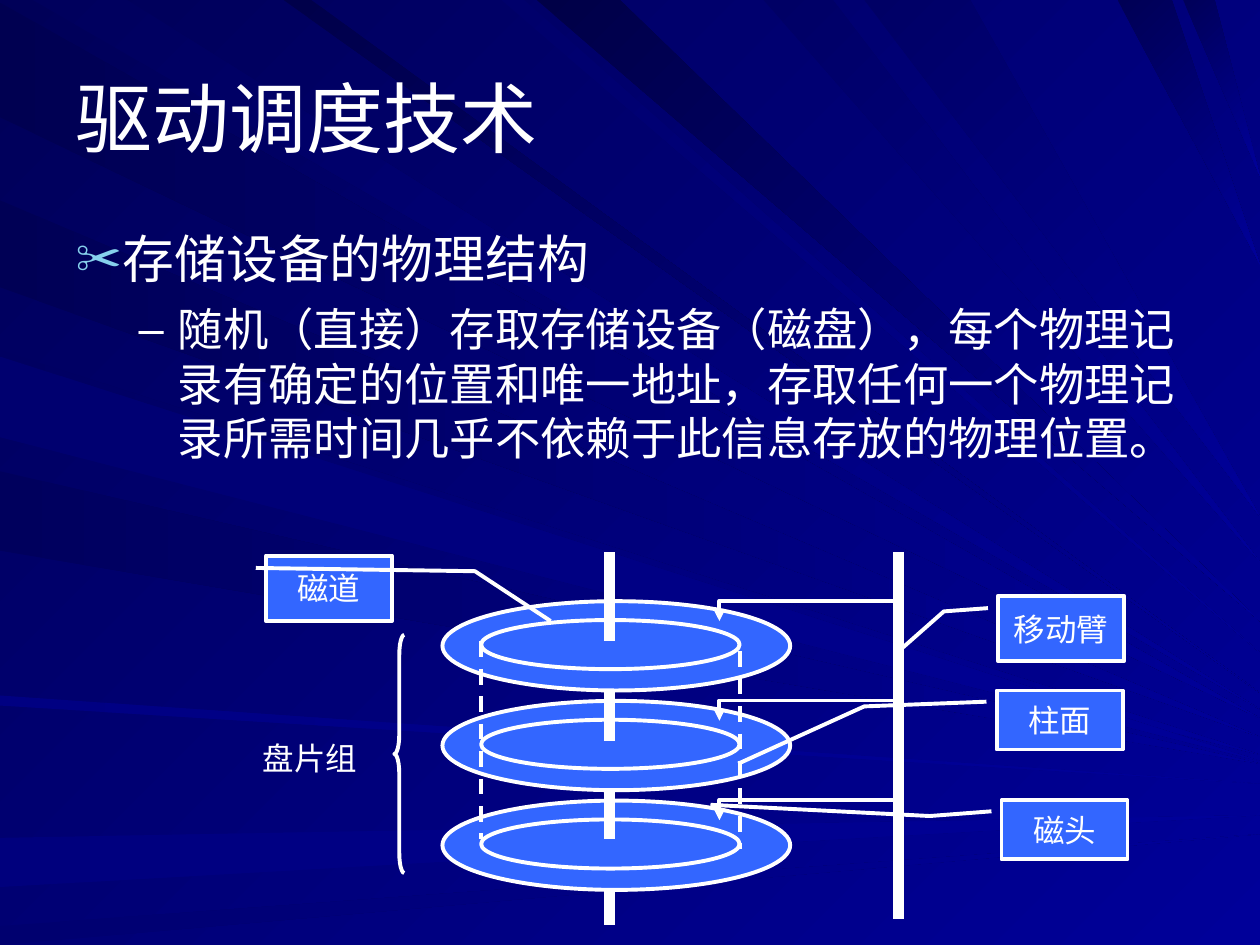
"""Build the slide on drive scheduling with a diagram of a disk pack."""
import lxml.etree
import pptx
import pptx.dml.color
import pptx.enum.dml
import pptx.enum.shapes
import pptx.enum.text
import pptx.oxml
import pptx.oxml.ns
import pptx.util

Cm = pptx.util.Cm
SHAPE = pptx.enum.shapes.MSO_SHAPE
ALIGN = pptx.enum.text.PP_ALIGN
ANCHOR = pptx.enum.text.MSO_ANCHOR
WHITE, BLUE = "FFFFFF", "3366FF"


def paint(fill, *colors, angle=0):
    """Apply no fill, one colour or a two-colour gradient turned clockwise."""
    if not colors:
        fill.background()
    elif len(colors) == 1:
        fill.solid()
        fill.fore_color.rgb = pptx.dml.color.RGBColor.from_string(colors[0])
    else:
        fill.gradient()
        fill.gradient_angle = -angle % 360
        for stop, color in zip(fill.gradient_stops, colors):
            stop.color.rgb = pptx.dml.color.RGBColor.from_string(color)


def write(paragraph, text, size=18, align=ALIGN.CENTER, space=0, level=0, bullet=None):
    """Write one white paragraph; bullet is (character, colour, percent, margin, hang)."""
    paragraph.level = level
    paragraph.alignment = align
    paragraph.space_before = pptx.util.Pt(space)
    if bullet:
        character, color, percent, margin, hang = bullet
        properties = paragraph._p.get_or_add_pPr()
        properties.set("marL", str(Cm(margin)))
        properties.set("indent", str(-Cm(hang)))
        namespace = pptx.oxml.ns.nsdecls("a")
        for markup in (
            f'<a:buClr {namespace}><a:srgbClr val="{color}"/></a:buClr>',
            f'<a:buSzPct {namespace} val="{percent * 1000}"/>',
            f'<a:buFont {namespace} typeface="Arial"/>',
            f'<a:buChar {namespace} char="{character}"/>',
        ):
            properties.append(pptx.oxml.parse_xml(markup))
    run = paragraph.add_run()
    run.text = text
    run.font.name = "Arial"
    run.font.size = pptx.util.Pt(size)
    paint(run.font.fill, WHITE)


presentation = pptx.Presentation()
presentation.slide_width, presentation.slide_height = Cm(25.4), Cm(19.05)
slide = presentation.slides.add_slide(presentation.slide_layouts[1])
shapes = slide.shapes
paint(slide.background.fill, "000058", "000099", angle=45)

hundredth = Cm(2.54) / 100
left_rays = [
    ("000051", 2, 93, 570),
    ("00007D", 665, 704, 647),
    ("00006F", 735, 750, 662),
    ("000055", 159, 228, 585),
    ("000061", 278, 342, 599),
    ("00005D", 374, 437, 606),
    ("000082", 552, 560, 622),
    ("00006F", 283, 347, 604),
]
top_rays = [
    ("00005D", 26, 101, 563),
    ("00006B", 398, 416, 518),
    ("000047", 426, 492, 493),
    ("000065", 606, 661, 446),
    ("00004A", 225, 247, 550),
    ("000065", 686, 770, 410),
    ("000055", 887, 930, 210),
    ("000059", 939, 964, 140),
]
for rays, from_left in ((left_rays, True), (top_rays, False)):
    for color, near, far, tip in rays:
        edge = [(0, near), (0, far)] if from_left else [(near, 0), (far, 0)]
        builder = shapes.build_freeform(*edge[0], scale=hundredth)
        builder.add_line_segments([edge[1], (1000, tip)], close=True)
        ray = builder.convert_to_shape()
        ray.shadow.inherit = False
        paint(ray.fill, color, "000099", angle=0 if from_left else 45)
        paint(ray.line.fill)

title, body = shapes.title, slide.placeholders[1]
for placeholder, top, height, anchor in (
    (title, 0.76, 3.18, ANCHOR.MIDDLE),
    (body, 4.45, 6.27, ANCHOR.TOP),
):
    shapes.element.append(placeholder.element)
    placeholder.left, placeholder.top = Cm(1.27), Cm(top)
    placeholder.width, placeholder.height = Cm(22.86), Cm(height)
    placeholder.text_frame.auto_size = pptx.enum.text.MSO_AUTO_SIZE.NONE
    placeholder.text_frame.vertical_anchor = anchor
write(title.text_frame.paragraphs[0], "驱动调度技术", size=44, align=ALIGN.LEFT)
write(body.text_frame.paragraphs[0], "存储设备的物理结构", size=29.6, align=ALIGN.LEFT,
      bullet=("✂", "86D1EC", 90, 0.95, 0.95))
write(body.text_frame.add_paragraph(),
      "随机（直接）存取存储设备（磁盘），每个物理记录有确定的位置和唯一地址，"
      "存取任何一个物理记录所需时间几乎不依赖于此信息存放的物理位置。",
      size=25.9, align=ALIGN.LEFT, space=7, level=1, bullet=("–", WHITE, 100, 2.06, 0.79))

platter_pitch = 2.01
for left, top, width, height, colors in (
    (8.92, 12.12, 7.01, 1.8, [BLUE]),
    (9.7, 12.5, 5.21, 0.99, []),
):
    for index in range(3):
        ring = shapes.add_shape(SHAPE.OVAL, Cm(left), Cm(top + index * platter_pitch),
                                Cm(width), Cm(height))
        ring.shadow.inherit = False
        paint(ring.fill, *colors)
        paint(ring.line.fill, WHITE)
        ring.line.width = pptx.util.Pt(2.25)

for x, top, bottom, dashed in (
    (12.29, 11.13, 12.93, False),
    (12.29, 13.92, 14.94, False),
    (12.29, 15.93, 16.92, False),
    (12.29, 17.93, 18.64, False),
    (9.7, 12.93, 16.92, True),
    (14.91, 13.13, 17.12, True),
    (18.11, 11.13, 18.52, False),
):
    rod = shapes.add_connector(pptx.enum.shapes.MSO_CONNECTOR.STRAIGHT,
                               Cm(x), Cm(top), Cm(x), Cm(bottom))
    paint(rod.line.fill, WHITE)
    rod.line.width = pptx.util.Pt(2.25 if dashed else 6)
    if dashed:
        rod.line.dash_style = pptx.enum.dml.MSO_LINE.DASH
    lxml.etree.SubElement(rod.element.spPr, pptx.oxml.ns.qn("a:effectLst"))

for index in range(3):
    arm_top = 477 + 79 * index
    builder = shapes.build_freeform(571, arm_top + 16, scale=hundredth)
    builder.add_line_segments([(571, arm_top), (713, arm_top)], close=False)
    arm = builder.convert_to_shape()
    arm.shadow.inherit = False
    paint(arm.fill)
    paint(arm.line.fill, WHITE)
    arm.line.width = pptx.util.Pt(2.25)
    lxml.etree.SubElement(arm.line._get_or_add_ln(), pptx.oxml.ns.qn("a:headEnd"), type="triangle")

brace = shapes.add_shape(SHAPE.LEFT_BRACE, Cm(7.95), Cm(12.8), Cm(0.2), Cm(4.8))
brace.adjustments[0] = 2
brace.shadow.inherit = False
paint(brace.fill)
paint(brace.line.fill, WHITE)
brace.line.width = pptx.util.Pt(2.25)

pack_label = shapes.add_textbox(Cm(4.95), Cm(14.78), Cm(2.59), Cm(1.02))
pack_label.text_frame.word_wrap = True
write(pack_label.text_frame.paragraphs[0], "盘片组")

for text, left, top, height, leader in (
    ("移动臂", 20.12, 12.01, 1.32, (0.24, -0.43, 0.85, -0.79)),
    ("磁头", 20.19, 16.13, 1.19, (0.27, -0.57, 0.08, -2.31)),
    ("柱面", 20.09, 13.92, 1.19, (0.27, -1.05, 1.24, -2.05)),
    ("磁道", 5.36, 11.2, 1.32, (0.24, 1.66, 1, 2.26)),
):
    callout = shapes.add_shape(SHAPE.LINE_CALLOUT_2, Cm(left), Cm(top), Cm(2.54), Cm(height))
    for index, value in enumerate((0.19, -0.08) + leader):
        callout.adjustments[index] = value
    callout.shadow.inherit = False
    paint(callout.fill, BLUE)
    paint(callout.line.fill, WHITE)
    callout.line.width = pptx.util.Pt(2.25)
    callout.text_frame.vertical_anchor = ANCHOR.MIDDLE
    write(callout.text_frame.paragraphs[0], text)

presentation.save("out.pptx")
